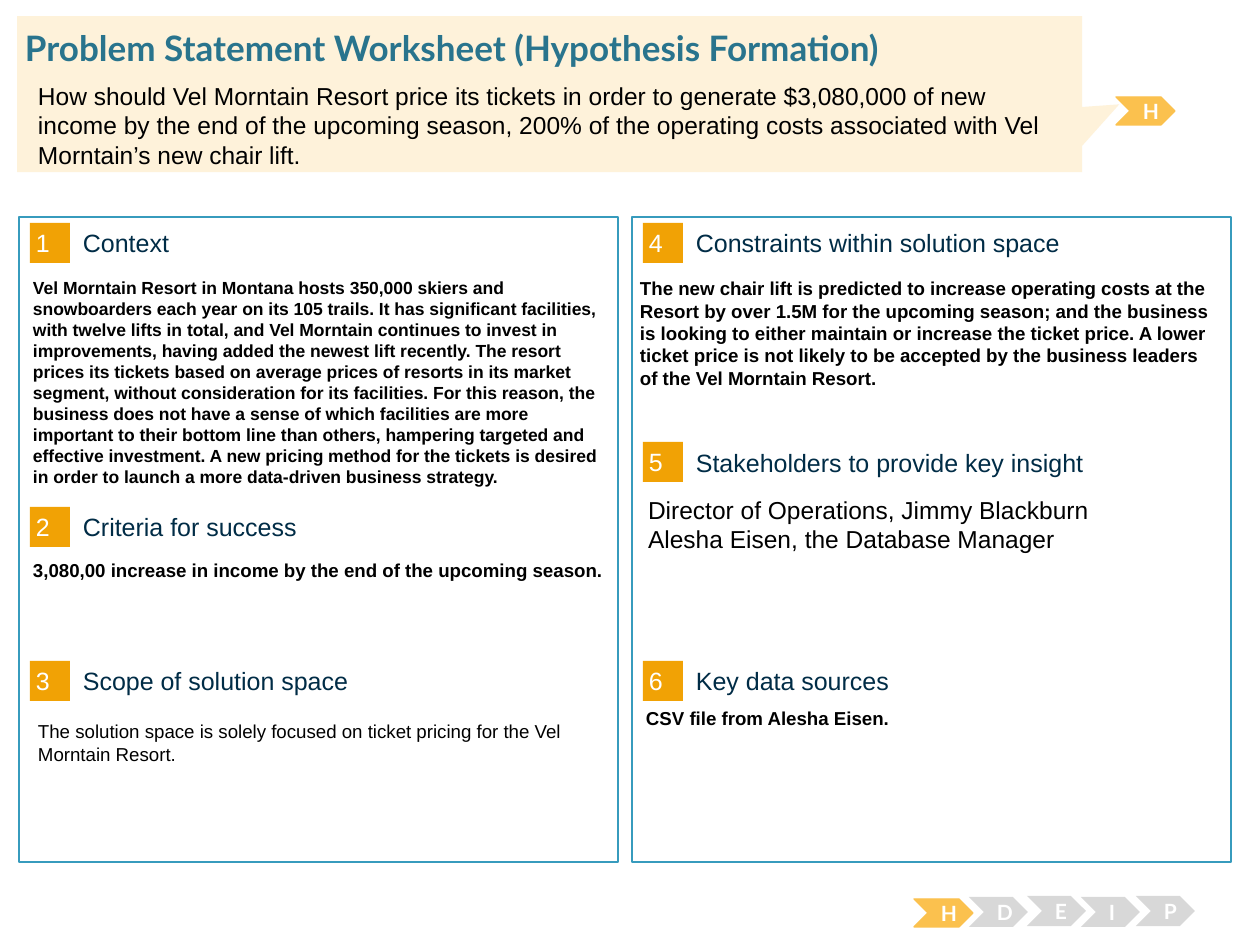
"""Builds the problem statement worksheet slide."""
from pptx import Presentation, util as u
from pptx.dml.color import RGBColor
from pptx.enum import shapes, text

PX = 914400 // 126
SHAPE = shapes.MSO_SHAPE
COLORS = dict(white="FFFFFF", black="000000", border="379BBD", badge="F1A205", heading="002C46",
              title="29748D", active="FBC14E", idle="D8D8D8", callout="FEF2DA")

TITLE = "Problem Statement Worksheet (Hypothesis Formation)"
QUESTION = ("How should Vel Morntain Resort price its tickets in order to generate\u00a0$3,080,000 of new "
            "income by the end of the upcoming season, 200% of the operating costs associated with "
            "Vel Morntain\u2019s new chair lift.")
CONTEXT = ("Vel Morntain Resort in Montana hosts 350,000 skiers and snowboarders each year on its 105 "
           "trails. It has significant facilities, with twelve lifts in total, and Vel Morntain "
           "continues to invest in improvements, having added the newest lift recently. The resort "
           "prices its tickets based on average prices of resorts in its market segment, without "
           "consideration for its facilities. For this reason, the business does not have a sense of "
           "which facilities are more important to their bottom line than others, hampering targeted "
           "and effective investment. A new pricing method for the tickets is desired in order to "
           "launch a more data-driven business strategy.")
CONSTRAINTS = ("The new chair lift is predicted to increase operating costs at the Resort by over 1.5M "
               "for the upcoming season; and the business is looking to either maintain or increase the "
               "ticket price. A lower ticket price is not likely to be accepted by the business leaders "
               "of the Vel Morntain Resort.")
SCOPE = "The solution space is solely focused on ticket pricing for the Vel Morntain Resort."
SUCCESS = "3,080,00 increase in income by the end of the upcoming season."
STAKEHOLDERS = "Director of Operations, Jimmy Blackburn\nAlesha Eisen, the Database Manager"

PANELS = [
    (19, [("Context", 223, CONTEXT, (20, 271, 205), 10, True),
          ("Criteria for success", 507, SUCCESS, (20, 553, 194), 10.7, True),
          ("Scope of solution space", 661, SCOPE, (25, 714, 103), 10.7, False)]),
    (632, [("Constraints within solution space", 223, CONSTRAINTS, (627, 271, 149), 10.7, True),
           ("Stakeholders to provide key insight", 442, STAKEHOLDERS, (635, 489, 149), 14, False),
           ("Key data sources", 661, "CSV file from Alesha Eisen.", (633, 701, 149), 10.7, True)]),
]
STAGES = [("H", 914, 899, 28, "active"), ("D", 969, 897, 30, "idle"), ("E", 1027, 896, 30, "idle"),
          ("I", 1081, 897, 30, "idle"), ("P", 1136, 896, 30, "idle"), ("H", 1116, 97, 28, "active")]

prs = Presentation()
prs.slide_width, prs.slide_height = u.Inches(10), u.Inches(7.5)
s = prs.slides.add_slide(prs.slide_layouts[6])


def color(name):
    return RGBColor.from_string(COLORS[name])


def write(sp, words, size, ink="black", font="Arial", bold=False, inset=(13, 6),
          align=text.PP_ALIGN.LEFT, anchor=text.MSO_ANCHOR.TOP):
    tf = sp.text_frame
    tf.word_wrap = True
    tf.vertical_anchor = anchor
    tf.margin_left = tf.margin_right = inset[0] * PX
    tf.margin_top = tf.margin_bottom = inset[1] * PX
    tf.text = words
    for p in tf.paragraphs:
        p.alignment = align
        for r in p.runs:
            r.font.size, r.font.name, r.font.bold = u.Pt(size), font, bold
            r.font.color.rgb = color(ink)


def box(*at):
    return s.shapes.add_textbox(*(v * PX for v in at))


def shape(kind, at, fill, line=None, width=0.75):
    sp = s.shapes.add_shape(kind, *(v * PX for v in at))
    sp.shadow.inherit = False
    sp.fill.solid()
    sp.fill.fore_color.rgb = color(fill)
    if line:
        sp.line.color.rgb = color(line)
        sp.line.width = u.Pt(width)
    else:
        sp.line.fill.background()
    return sp


middle = text.MSO_ANCHOR.MIDDLE
number = 0
for left, sections in PANELS:
    shape(SHAPE.RECTANGLE, (left, 217, 599, 645), "white", "border", 1.5)
    for heading, top, body, (x, y, h), size, bold in sections:
        number += 1
        badge = shape(SHAPE.RECTANGLE, (left + 11, top, 40, 40), "badge")
        write(badge, str(number), 14.3, "white", inset=(6, 6), anchor=middle)
        write(box(left + 64, top + 4, 495, 32), heading, 14.3, "heading", inset=(0, 0), anchor=middle)
        write(box(x, y, 599, h), body, size, bold=bold)

for letter, x, y, h, fill in STAGES:
    chevron = shape(SHAPE.CHEVRON, (x, y, 59, h), fill, "active" if fill == "active" else None)
    write(chevron, letter, 12, "white", "Lato", True, align=text.PP_ALIGN.CENTER, anchor=middle)

callout = shape(SHAPE.RECTANGULAR_CALLOUT, (17, 16, 1065, 156), "callout")
callout.adjustments[0], callout.adjustments[1] = 0.535, 0.066
write(box(25, 26, 1212, 43), TITLE, 20, "title", "Lato", True, inset=(0, 0))
write(box(25, 75, 1033, 86), QUESTION, 14)

prs.save("out.pptx")
